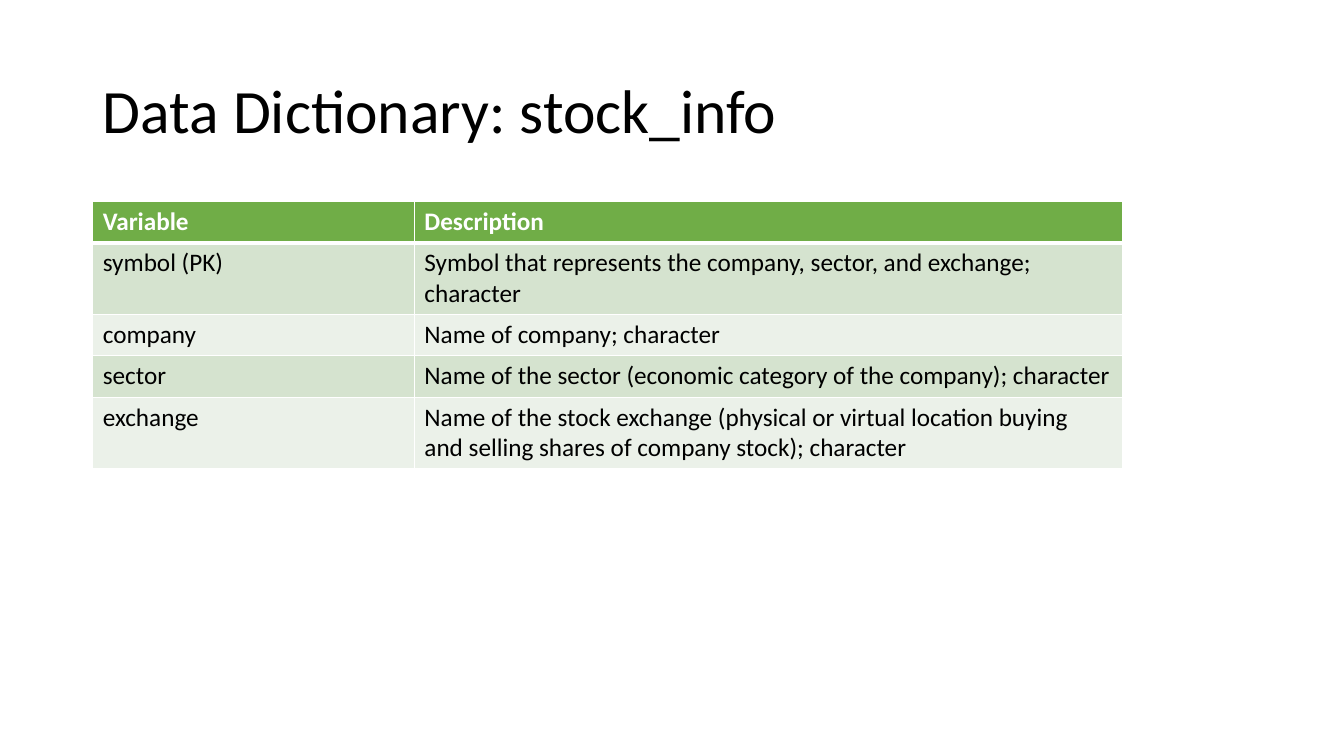
from dataclasses import dataclass

from lxml.etree import SubElement as Sub
from pptx import Presentation
from pptx.dml.color import RGBColor as Rgb
from pptx.enum.text import MSO_ANCHOR as Anchor, PP_ALIGN as Align
from pptx.oxml.ns import qn
from pptx.util import Inches, Pt

COLORS = {
    "header": "70AD47",
    "odd": "D5E3CF",
    "even": "EBF1E9",
    "white": "FFFFFF",
    "black": "000000",
}
COLUMN_WIDTHS = (3.19, 7.02)
ROW_HEIGHT = 0.41


@dataclass(frozen=True)
class Entry:
    variable: str
    description: str


ENTRIES = [
    Entry("Variable", "Description"),
    Entry("symbol (PK)", "Symbol that represents the company, sector, and exchange; character"),
    Entry("company", "Name of company; character"),
    Entry("sector", "Name of the sector (economic category of the company); character"),
    Entry("exchange", "Name of the stock exchange (physical or virtual location "
          "buying and selling shares of company stock); character"),
]


def write_text(frame, text: str, color: str, **formats) -> None:
    """Write one formatted span into a text frame."""
    para = frame.paragraphs[0]
    para.alignment = Align.LEFT
    span = para.add_run()
    span.text = text
    span.font.color.rgb = Rgb.from_string(COLORS[color])
    for name, value in {"name": "Calibri", **formats}.items():
        setattr(span.font, name, value)


def add_borders(cell, row: int) -> None:
    """Draw white cell borders, with a thick rule below the header."""
    properties = cell._tc.get_or_add_tcPr()
    for side in "LRTB":
        is_rule = (row, side) in ((0, "B"), (1, "T"))
        line = Sub(properties, qn(f"a:ln{side}"), w=str(Pt(3 if is_rule else 1)))
        Sub(Sub(line, qn("a:solidFill")), qn("a:srgbClr"), val=COLORS["white"])


def add_title(slide, text: str) -> None:
    title = slide.shapes.title
    place = {"left": 0.92, "top": 0.4, "width": 11.5, "height": 1.45}
    for name, value in place.items():
        setattr(title, name, Inches(value))
    title.text_frame.word_wrap = True
    title.text_frame.vertical_anchor = Anchor.MIDDLE
    write_text(title.text_frame, text, "black", size=Pt(44))
    title.text_frame.paragraphs[0].line_spacing = 0.9


def add_dictionary(slide, entries: list[Entry]) -> None:
    table = slide.shapes.add_table(
        len(entries), len(COLUMN_WIDTHS), Inches(0.92), Inches(2),
        Inches(sum(COLUMN_WIDTHS)), Inches(ROW_HEIGHT * len(entries))).table
    for column, width in zip(table.columns, COLUMN_WIDTHS):
        column.width = Inches(width)
    for row, entry in enumerate(entries):
        table.rows[row].height = Inches(ROW_HEIGHT)
        is_header = row == 0
        fill = "header" if is_header else "odd" if row % 2 else "even"
        for column, text in enumerate((entry.variable, entry.description)):
            cell = table.cell(row, column)
            add_borders(cell, row)
            cell.fill.solid()
            cell.fill.fore_color.rgb = Rgb.from_string(COLORS[fill])
            write_text(cell.text_frame, text, "white" if is_header else "black",
                       size=Pt(18), bold=is_header)


def main() -> None:
    deck = Presentation()
    deck.slide_width, deck.slide_height = Inches(13.33), Inches(7.5)

    # Title-only page
    page = deck.slides.add_slide(deck.slide_layouts[5])
    add_title(page, "Data Dictionary: stock_info")

    # Variable table
    add_dictionary(page, ENTRIES)
    deck.save("out.pptx")


if __name__ == "__main__":
    main()
